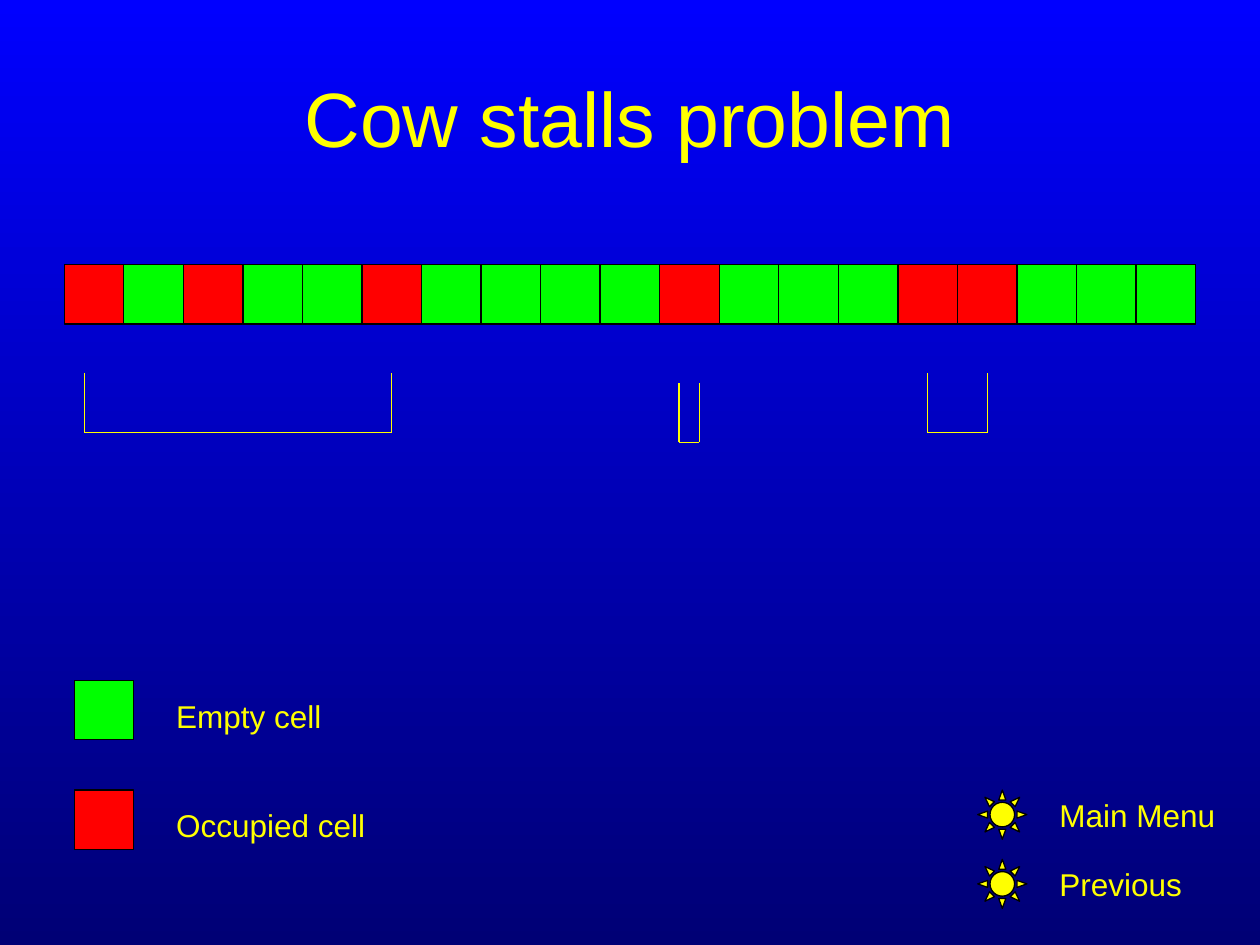
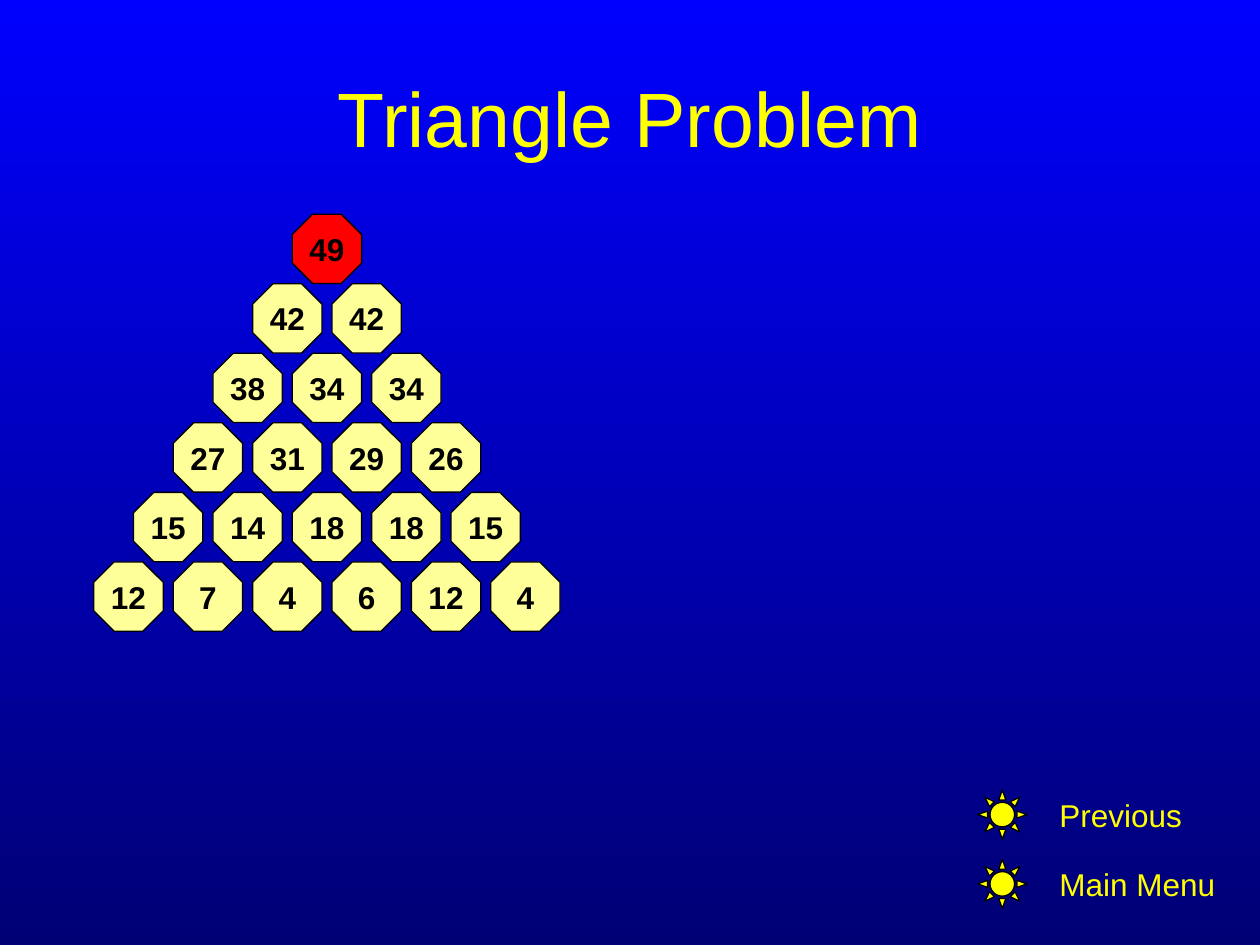
import pptx
import pptx.dml.color
import pptx.enum.shapes
import pptx.enum.text
import pptx.oxml
import pptx.util

Inches = pptx.util.Inches
Pt = pptx.util.Pt
Shape = pptx.enum.shapes.MSO_SHAPE
Align = pptx.enum.text.PP_ALIGN
Anchor = pptx.enum.text.MSO_ANCHOR
AutoSize = pptx.enum.text.MSO_AUTO_SIZE
colour = pptx.dml.color.RGBColor.from_string

YELLOW, PALE_YELLOW, BLACK = "FFFF00", "FFFF99", "000000"
RED, GREEN = "FF0000", "00FF00"

TITLE = {"size": Pt(44), "name": "Arial"}
LABEL = {"size": Pt(18), "name": "Arial"}
NUMBER = {"size": Pt(18), "name": "Arial", "bold": True}


def add_square_shape(page, kind, left, top, size, fill):
    shape = page.shapes.add_shape(
        kind, Inches(left), Inches(top), Inches(size), Inches(size))
    shape.shadow.inherit = False
    shape.fill.solid()
    shape.fill.fore_color.rgb = colour(fill)
    shape.line.color.rgb = colour(BLACK)
    shape.line.width = Pt(0.75)
    return shape


def write(box, text, style, text_colour, frame_format, align=Align.LEFT):
    for name, value in frame_format.items():
        setattr(box.text_frame, name, value)
    para = box.text_frame.paragraphs[0]
    para.alignment = align
    span = para.add_run()
    span.text = text
    for name, value in style.items():
        setattr(span.font, name, value)
    span.font.color.rgb = colour(text_colour)


centred = {"word_wrap": True, "vertical_anchor": Anchor.MIDDLE}
unwrapped = {"word_wrap": False, "vertical_anchor": Anchor.MIDDLE}
growing = {"word_wrap": True, "auto_size": AutoSize.SHAPE_TO_FIT_TEXT}

deck = pptx.Presentation()
deck.slide_width, deck.slide_height = Inches(10), Inches(7.5)

# Blue gradient shared by every slide
background = deck.slide_master.background.fill
background.gradient()
background.gradient_angle = 270
for stop, shade in zip(background.gradient_stops, ("0000FF", "000075")):
    stop.color.rgb = colour(shade)

# Titles and navigation entries
pages = []
for title, entries in (
    ("Cow stalls problem", ("Main Menu", "Previous")),
    ("Triangle Problem", ("Previous", "Main Menu")),
):
    page = deck.slides.add_slide(deck.slide_layouts[6])
    pages.append(page)
    box = page.shapes.add_textbox(Inches(0.5), Inches(0.3), Inches(9), Inches(1.25))
    write(box, title, TITLE, YELLOW, centred, Align.CENTER)
    for row, entry in enumerate(entries):
        top = 6.27 + 0.55 * row
        box = page.shapes.add_textbox(Inches(8.31), Inches(top), Inches(1.5), Inches(0.4))
        write(box, entry, LABEL, YELLOW, growing)
        add_square_shape(page, Shape.SUN, 7.76, top, 0.39, YELLOW)

stalls_page, triangle_page = pages

# Row of stalls: O is occupied, a dot is empty
stalls = "O.O..O....O...OO..."
stall_size = 8.98 / len(stalls)
for index, state in enumerate(stalls):
    add_square_shape(stalls_page, Shape.RECTANGLE, 0.51 + index * stall_size, 2.1,
                     stall_size, RED if state == "O" else GREEN)

# Brackets under the covered stalls
for left, right, top in ((0.67, 3.11, 2.96), (5.39, 5.55, 3.04), (7.36, 7.84, 2.96)):
    bottom = top + 0.47
    corners = [(left, top), (left, bottom), (right, bottom), (right, top)]
    for start, end in zip(corners, corners[1:]):
        line = stalls_page.shapes.add_connector(
            pptx.enum.shapes.MSO_CONNECTOR.STRAIGHT,
            *(Inches(value) for value in start + end))
        line.line.color.rgb = colour(YELLOW)
        line.line.width = Pt(0.75)
        line._element.spPr.append(pptx.oxml.parse_xml(
            '<a:effectLst xmlns:a="http://schemas.openxmlformats.org/drawingml/2006/main"/>'))

# Legend
for row, (meaning, fill) in enumerate((("Empty cell", GREEN), ("Occupied cell", RED))):
    top = 5.4 + 0.87 * row
    add_square_shape(stalls_page, Shape.RECTANGLE, 0.59, top, 0.47, fill)
    box = stalls_page.shapes.add_textbox(
        Inches(1.3), Inches(top + 0.08), Inches(3.5), Inches(0.4))
    write(box, meaning, LABEL, YELLOW, growing)

# Number triangle, each row half a step further left
triangle = (
    (49,),
    (42, 42),
    (38, 34, 34),
    (27, 31, 29, 26),
    (15, 14, 18, 18, 15),
    (12, 7, 4, 6, 12, 4),
)
step, row_height = 0.63, 2.76 / 5
for row, numbers in enumerate(triangle):
    for column, number in enumerate(numbers):
        octagon = add_square_shape(
            triangle_page, Shape.OCTAGON, 2.32 + (column - row / 2) * step,
            1.7 + row * row_height, 0.55, PALE_YELLOW if row else RED)
        write(octagon, str(number), NUMBER, BLACK, unwrapped, Align.CENTER)

deck.save("out.pptx")
